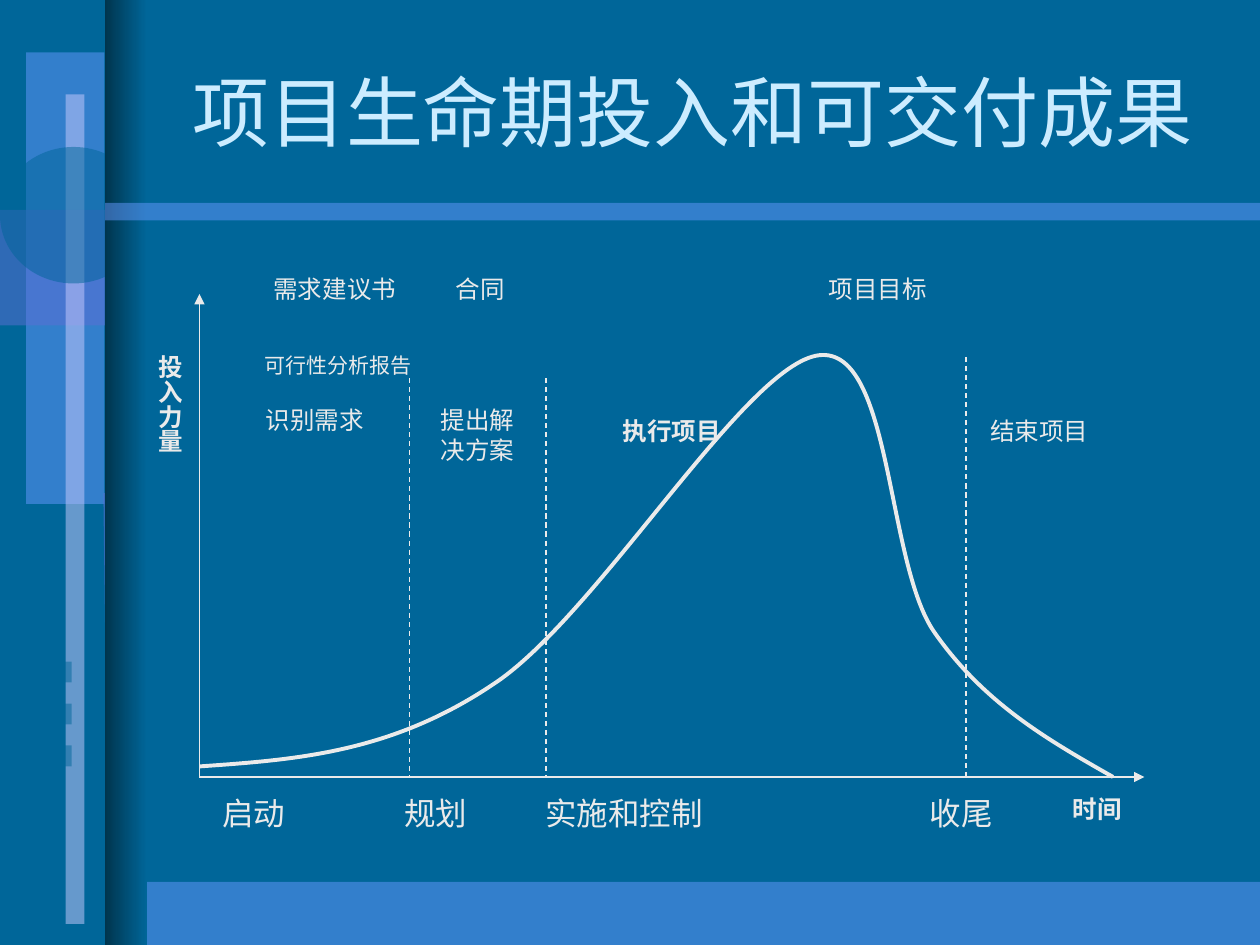
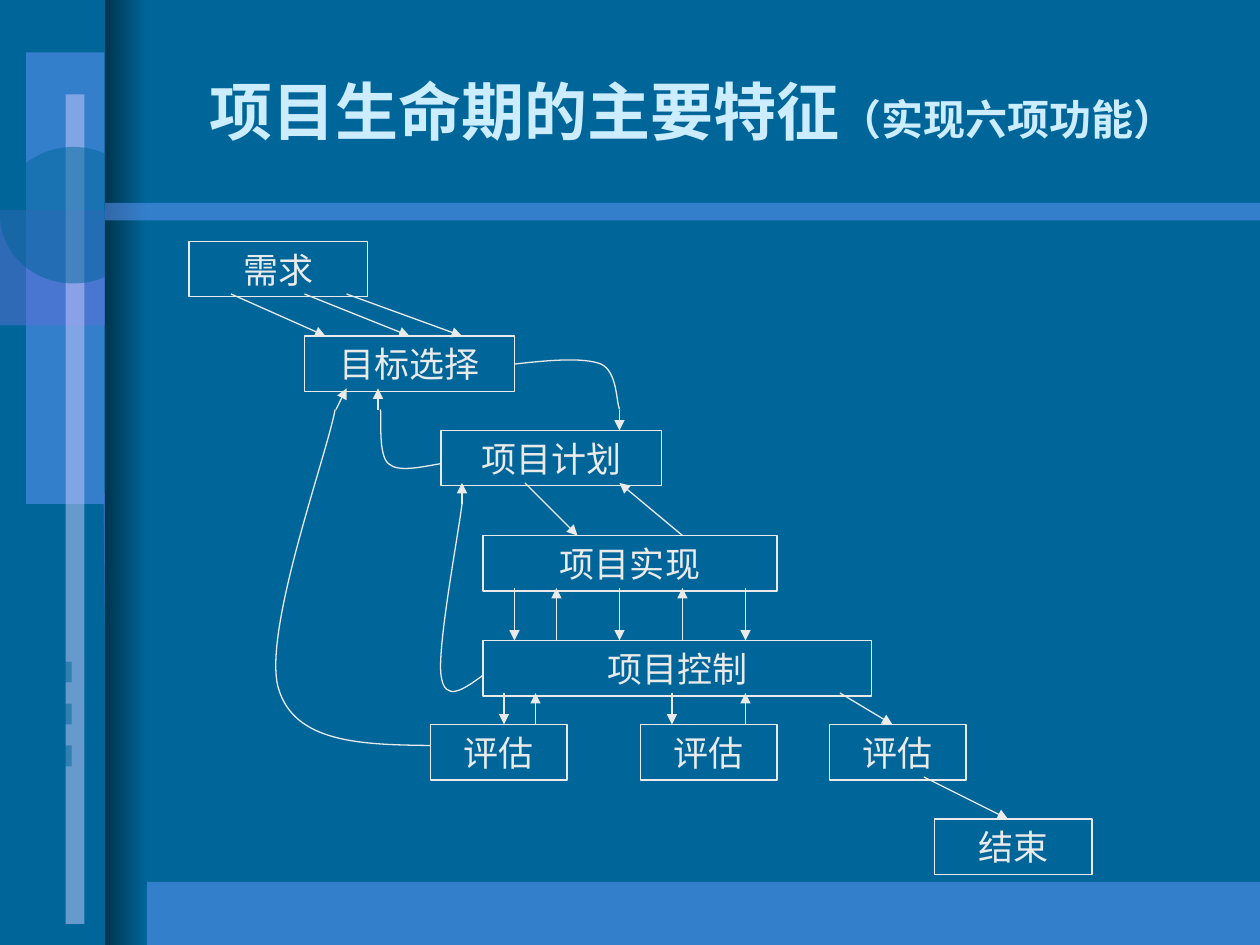
import pptx
import pptx.dml.color
import pptx.enum.dml
import pptx.enum.shapes
import pptx.enum.text
import pptx.oxml.ns
import pptx.util

Pt = pptx.util.Pt
qn = pptx.oxml.ns.qn
SHAPE = pptx.enum.shapes.MSO_SHAPE
ALIGN = pptx.enum.text.PP_ALIGN
ANCHOR = pptx.enum.text.MSO_ANCHOR

COLORS = {
    "back": "006699", "dark": "00354E", "band": "6699FF", "block": "5E6FD4",
    "stripe": "CCCCFF", "title": "CCECFF", "ink": "EAEAEA",
}
HEAD = {"name": "Montserrat", "size": Pt(44), "bold": False}
BOLD_HEAD = {**HEAD, "size": Pt(36), "bold": True}
SUB_HEAD = {**BOLD_HEAD, "size": Pt(24)}
LABEL = {"name": "Times New Roman", "size": Pt(14), "bold": False}
STRONG = {**LABEL, "bold": True}
SMALL = {**LABEL, "size": Pt(12)}
PHASE = {**LABEL, "size": Pt(18)}
NODE = {**LABEL, "size": Pt(20)}
LIST = {**LABEL, "name": "Arial"}
THIN, THICK = Pt(0.75), Pt(2.25)


def cm(inch):
    """Turn inches into a Cm length, snapped to the 1/24 inch grid if near."""
    snap = round(inch * 24) / 24
    return pptx.util.Cm((snap if abs(snap - inch) <= 0.005 else inch) * 2.54)


def rgb(key):
    return pptx.dml.color.RGBColor.from_string(COLORS[key])


def apply(target, values):
    for name, value in values.items():
        setattr(target, name, value)


def place(shape, spot):
    apply(shape, dict(zip(("left", "top", "width", "height"), map(cm, spot))))


def tint(shape, key):
    """Fill half transparent, without outline."""
    shape.shadow.inherit = False
    shape.line.fill.background()
    shape.fill.solid()
    shape.fill.fore_color.rgb = rgb(key)
    color = shape.element.spPr.find(qn("a:solidFill"))[0]
    color.append(color.makeelement(qn("a:alpha"), {"val": "50000"}))


def ink(line, width=THIN):
    line.color.rgb = rgb("ink")
    line.width = width


def write(shape, runs, key="ink", align=ALIGN.CENTER, anchor=ANCHOR.TOP,
          pad=(0.1, 0.05)):
    """Fill a shape with one paragraph of (text, format) runs."""
    frame = shape.text_frame
    side, edge = map(cm, pad)
    apply(frame, {
        "word_wrap": True, "auto_size": pptx.enum.text.MSO_AUTO_SIZE.NONE,
        "vertical_anchor": anchor, "margin_left": side, "margin_right": side,
        "margin_top": edge, "margin_bottom": edge,
    })
    para = frame.paragraphs[0]
    props = para._p.get_or_add_pPr()
    props.set("marL", "0")
    props.set("indent", "0")
    props.append(props.makeelement(qn("a:buNone"), {}))
    apply(para, {"alignment": align, "space_before": Pt(0)})
    for text, style in runs:
        run = para.add_run()
        run.text = text
        apply(run.font, style)
        run.font.color.rgb = rgb(key)


def label(slide, spot, text, style=LABEL, **more):
    box = slide.shapes.add_textbox(*map(cm, spot))
    write(box, [(text, style)], **more)
    return box


def title(slide, *runs):
    shape = slide.shapes.title
    place(shape, (1.25, 0.25, 8.5, 1.25))
    write(shape, runs, key="title", anchor=ANCHOR.MIDDLE)


def node(slide, text, left, top, width):
    box = slide.shapes.add_shape(
        SHAPE.RECTANGLE, *map(cm, (left, top, width, 0.44)))
    box.shadow.inherit = False
    box.fill.background()
    ink(box.line)
    write(box, [(text, NODE)], anchor=ANCHOR.MIDDLE)
    return box


def link(slide, x1, y1, x2, y2, goal=None, dash=False):
    """Draw an arrow, or a dashed line; goal is a box to join at its top."""
    line = slide.shapes.add_connector(
        pptx.enum.shapes.MSO_CONNECTOR.STRAIGHT, *map(cm, (x1, y1, x2, y2)))
    if goal is not None:
        line.end_connect(goal, 0)
    ink(line.line)
    props = line.element.spPr
    if dash:
        line.line.dash_style = pptx.enum.dml.MSO_LINE.DASH
    else:
        stroke = props.find(qn("a:ln"))
        stroke.append(stroke.makeelement(qn("a:tailEnd"), {"type": "triangle"}))
    props.append(props.makeelement(qn("a:effectLst"), {}))


def outline(slide, points, close=False):
    """Join points by cubic curves, three points each; the rest are lines."""
    spots = [tuple(map(cm, point)) for point in points]
    pen = slide.shapes.build_freeform(*spots[0])
    pen.add_line_segments(spots[1:], close=close)
    shape = pen.convert_to_shape()
    shape.shadow.inherit = False
    sides = list(shape.element.spPr.iter(qn("a:lnTo")))
    for i in range(0, len(sides) - 2, 3):
        bend = sides[i].makeelement(qn("a:cubicBezTo"), {})
        sides[i].addprevious(bend)
        for side in sides[i:i + 3]:
            bend.append(side[0])
            side.getparent().remove(side)
    return shape


def curve(slide, points, width=THIN):
    shape = outline(slide, points)
    shape.fill.background()
    ink(shape.line, width)


def dress(deck, slide):
    """Draw the shared bands on a slide, then move them to the master."""
    master = deck.slide_master
    master.background.fill.solid()
    master.background.fill.fore_color.rgb = rgb("back")
    decor = []

    def panel(key, *spot, kind=SHAPE.RECTANGLE):
        shape = slide.shapes.add_shape(kind, *map(cm, spot))
        tint(shape, key)
        decor.append(shape)
        return shape

    panel("band", 0.83, 7, 9.17, 0.5)
    panel("band", 0.21, 0.42, 0.62, 3.58)
    panel("block", 0, 1.67, 0.83, 0.92)
    panel("stripe", 0.52, 0.75, 0.15, 6.58)
    for i in range(3):
        panel("back", 0, 5.25 + i / 3, 0.57, 0.17)
    wedge = outline(slide, [
        (0.82, 3.92), (0.9, 3.86), (0.98, 4.01), (1.03, 4.32),
        (1.07, 4.62), (1.08, 5.03), (1.04, 5.36),
        (1.01, 5.7), (0.94, 5.91), (0.86, 5.91), (0.83, 4.93)], close=True)
    tint(wedge, "block")
    decor.append(wedge)
    panel("back", 0, 1.17, 1.17, 1.08, kind=SHAPE.OVAL)
    shade = panel("dark", 0.83, 0, 0.33, 7.5)
    shade.fill.gradient()
    shade.fill.gradient_angle = 0
    for stop, key in zip(shade.fill.gradient_stops, ("dark", "back")):
        stop.color.rgb = rgb(key)
    panel("band", 0.83, 1.61, 9.17, 0.14)

    for i, shape in enumerate(decor):
        shape.element.nvSpPr.cNvPr.set("id", str(100 + i))
        master.shapes.element.insert(2 + i, shape.element)


def effort(slide):
    """Effort over the project life cycle."""
    title(slide, ("项目生命期投入和可交付成果", HEAD))
    body = slide.placeholders[1]
    place(body, (2.07, 2.12, 1.4, 0.34))
    write(body, [("需求建议书", LIST)], align=ALIGN.LEFT)
    for text, left in (("合同", 3.52), ("项目目标", 6.48)):
        label(slide, (left, 2.12, 1.4, 0.34), text, LIST, align=ALIGN.LEFT)
    link(slide, 1.58, 6.17, 1.58, 2.33)
    link(slide, 1.58, 6.17, 9.08, 6.17)
    curve(slide, [(1.58, 6.08), (2.34, 6.03), (3.1, 5.98), (3.92, 5.43),
                  (4.74, 4.89), (5.92, 2.89), (6.5, 2.82),
                  (7.08, 2.75), (7.03, 4.47), (7.42, 5.02),
                  (7.81, 5.58), (8.32, 5.87), (8.83, 6.17)], THICK)
    for x, top in ((3.25, 3), (4.33, 3), (7.67, 2.83)):
        link(slide, x, top, x, 6.17, dash=True)
    for text, style, *spot in (
            ("识别需求", LABEL, 1.75, 3.17, 1.5, 0.34),
            ("提出解决方案", LABEL, 3.33, 3.17, 0.92, 0.57),
            ("执行项目", STRONG, 4.83, 3.25, 1, 0.34),
            ("结束项目", LABEL, 7.75, 3.25, 1, 0.34),
            ("时间", STRONG, 8.33, 6.25, 0.75, 0.34)):
        label(slide, spot, text, style)
    axis = label(slide, (1.08, 2.72, 0.43, 1.25), "投入力量", STRONG,
                 pad=(0.05, 0.1))
    axis.element.find(".//" + qn("a:bodyPr")).set("vert", "eaVert")
    for text, left in (("启动", 1.67), ("规划", 3.11),
                       ("实施和控制", 4.23), ("收尾", 7.28)):
        label(slide, (left, 6.25, 1.5, 0.4), text, PHASE, align=ALIGN.LEFT)
    label(slide, (2, 2.75, 1.58, 0.3), "可行性分析报告", SMALL,
          align=ALIGN.LEFT)


def traits(slide):
    """Six functions and the feedback between them."""
    title(slide, ("项目生命期的主要特征", BOLD_HEAD),
          ("（实现六项功能）", SUB_HEAD))
    node(slide, "需求", 1.5, 1.92, 1.42)
    goal = node(slide, "目标选择", 2.42, 2.67, 1.67)
    node(slide, "项目计划", 3.5, 3.42, 1.75)
    node(slide, "项目实现", 3.83, 4.25, 2.33)
    node(slide, "项目控制", 3.83, 5.08, 3.08)
    for left in (3.42, 5.08, 6.58):
        node(slide, "评估", left, 5.75, 1.08)
    node(slide, "结束", 7.42, 6.5, 1.25)

    for points in (
            [(3.5, 3.68), (3.33, 3.71), (3.16, 3.75), (3.08, 3.68),
             (3, 3.61), (3.03, 3.32), (3.02, 3.25)],
            [(4.08, 2.89), (4.35, 2.86), (4.63, 2.83), (4.77, 2.89),
             (4.9, 2.95), (4.89, 3.19), (4.92, 3.25)],
            [(3.42, 5.92), (2.88, 5.91), (2.33, 5.9), (2.21, 5.46),
             (2.08, 5.01), (2.59, 3.62), (2.66, 3.25)],
            [(3.83, 5.36), (3.68, 5.47), (3.53, 5.58), (3.5, 5.36),
             (3.47, 5.13), (3.64, 4.23), (3.67, 4)]):
        curve(slide, points)

    for ends in ((1.83, 2.33, 2.58, 2.67), (2.75, 2.33, 3.67, 2.67),
                 (2.42, 2.33, 3.25, 2.67, goal),
                 (2.67, 3.25, 2.75, 3.08), (3, 3.25, 3, 3.08),
                 (4.92, 3.25, 4.92, 3.42), (3.67, 4, 3.67, 3.83),
                 (4.17, 3.83, 4.58, 4.25), (5.42, 4.25, 4.92, 3.83),
                 (6.67, 5.5, 7.08, 5.75), (7.33, 6.17, 8, 6.5)):
        link(slide, *ends)
    for top, low, down, up in ((4.67, 5.08, (4.08, 4.92, 5.92), (4.42, 5.42)),
                               (5.5, 5.75, (4, 5.33), (4.25, 5.92))):
        for x in down:
            link(slide, x, top, x, low)
        for x in up:
            link(slide, x, low, x, top)


def main():
    deck = pptx.Presentation()
    deck.slide_width, deck.slide_height = cm(10), cm(7.5)
    first = deck.slides.add_slide(deck.slide_layouts[1])
    dress(deck, first)
    effort(first)
    traits(deck.slides.add_slide(deck.slide_layouts[5]))
    deck.save("out.pptx")


if __name__ == "__main__":
    main()
